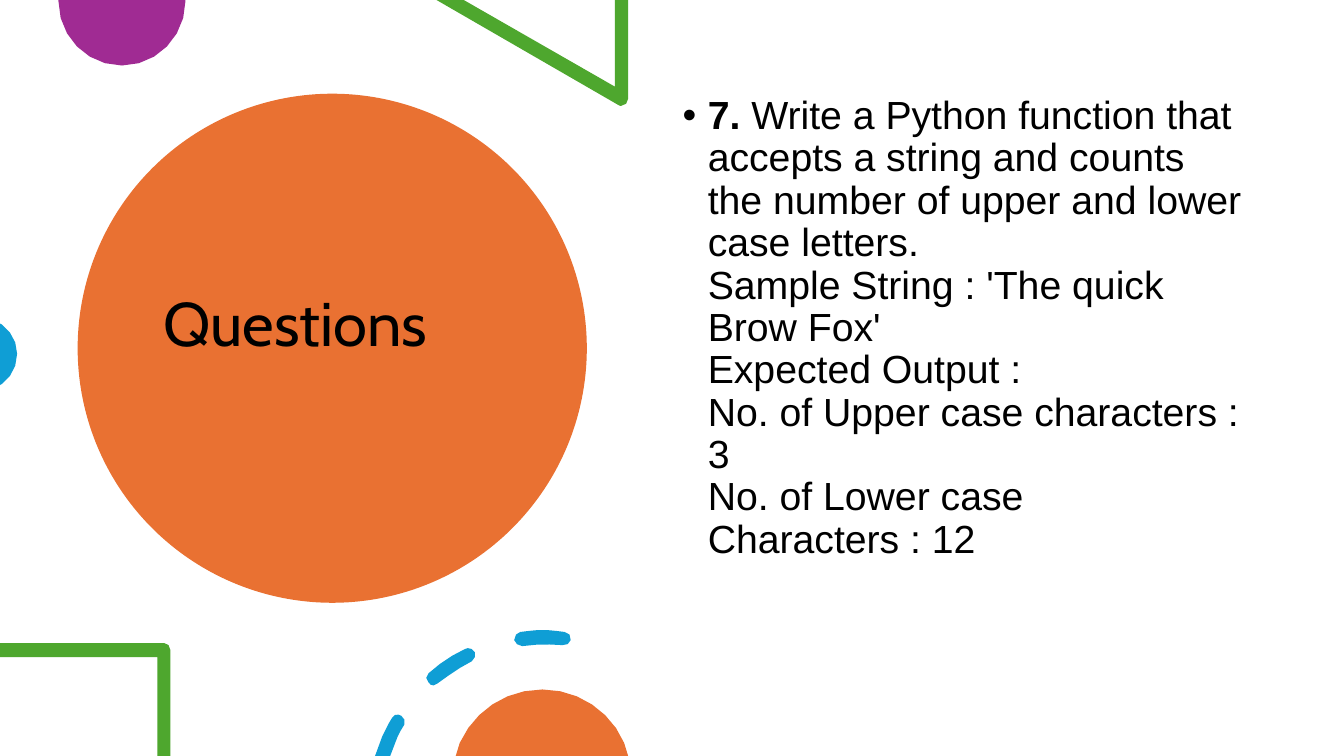
import math
from dataclasses import dataclass

from lxml import etree
from pptx import Presentation
from pptx import util as u
from pptx.dml.color import RGBColor
from pptx.enum import shapes, text
from pptx.oxml.ns import qn


@dataclass(frozen=True)
class Theme:
    orange: str = "E97132"
    purple: str = "A02B93"
    green: str = "4EA72E"
    blue: str = "0F9ED5"
    ink: str = "000000"
    title_font: str = "Cabin"
    body_font: str = "Arial"
    title_size: int = 44
    body_size: int = 28
    line_spacing: float = 0.9


# Each contour is a list of steps: (x, y) is a line to that point,
# (x1, y1, x2, y2, x, y) is a Bezier curve to its last pair.
PURPLE_DISC = [[(1.84, 0), (0.58, 0), (0.58, 0.01),
                (0.58, 0.36, 0.86, 0.65, 1.21, 0.65),
                (1.56, 0.65, 1.84, 0.36, 1.84, 0.01)]]
GREEN_TRIANGLE = [[(6.23, 0), (6.1, 0), (6.1, 0.86), (4.6, 0), (4.33, 0), (6.13, 1.04),
                   (6.14, 1.05, 6.15, 1.05, 6.16, 1.05),
                   (6.2, 1.05, 6.23, 1.02, 6.23, 0.98)]]
BLUE_DISC = [[(0, 3.21), (0, 3.82), (0.02, 3.81),
              (0.11, 3.74, 0.17, 3.64, 0.17, 3.51),
              (0.17, 3.39, 0.11, 3.29, 0.02, 3.22)]]
GREEN_SQUARE = [[(1.63, 6.38), (0, 6.38), (0, 6.52), (1.56, 6.52), (1.56, 7.5),
                 (1.69, 7.5), (1.69, 6.45),
                 (1.69, 6.41, 1.66, 6.38, 1.63, 6.38)]]
BLUE_DASHES = [
    [(3.95, 7.09), (3.93, 7.08, 3.9, 7.1, 3.89, 7.12),
     (3.85, 7.18, 3.82, 7.25, 3.79, 7.31), (3.72, 7.5), (3.87, 7.5), (3.92, 7.37),
     (3.94, 7.31, 3.97, 7.25, 4.01, 7.19), (4.02, 7.16, 4.01, 7.11, 3.98, 7.1),
     (3.95, 7.09)],
    [(4.64, 6.43), (4.61, 6.44),
     (4.48, 6.5, 4.36, 6.58, 4.25, 6.68), (4.22, 6.7, 4.22, 6.75, 4.25, 6.77),
     (4.26, 6.79, 4.28, 6.8, 4.3, 6.8), (4.34, 6.78),
     (4.45, 6.7, 4.56, 6.62, 4.68, 6.56), (4.71, 6.54, 4.72, 6.5, 4.71, 6.47),
     (4.69, 6.44, 4.67, 6.43, 4.64, 6.43)],
    [(5.38, 6.25), (5.31, 6.25, 5.24, 6.26, 5.16, 6.27),
     (5.13, 6.27, 5.1, 6.31, 5.1, 6.35), (5.11, 6.38, 5.14, 6.41, 5.18, 6.41),
     (5.32, 6.39, 5.45, 6.39, 5.58, 6.4), (5.62, 6.41, 5.65, 6.38, 5.66, 6.35),
     (5.67, 6.31, 5.64, 6.27, 5.6, 6.27), (5.53, 6.26, 5.45, 6.25, 5.38, 6.25)],
]
ORANGE_DISC = [[(5.38, 6.84), (5.01, 6.84, 4.7, 7.06, 4.56, 7.37), (4.52, 7.5),
                (6.23, 7.5), (6.19, 7.37),
                (6.06, 7.06, 5.74, 6.84, 5.38, 6.84)]]

# A no-break space follows "7." and stands before the first two colons.
QUESTION = [
    " Write a Python function that accepts a string and counts the number of "
    "upper and lower case letters.",
    "Sample String : 'The quick Brow Fox'",
    "Expected Output :",
    "No. of Upper case characters : 3",
    "No. of Lower case Characters : 12",
]


def trace(contour):
    """Return the contour's points in EMU, with its curves cut into a few lines."""
    points = []
    for step in contour:
        if len(step) == 2:
            points.append(step)
            continue
        x0, y0 = points[-1]
        x1, y1, x2, y2, x3, y3 = step
        chord = math.hypot(x3 - x0, y3 - y0)
        pieces = 6 if chord > 0.5 else 3 if chord > 0.2 else 2
        for index in range(1, pieces + 1):
            t = index / pieces
            a, b, c, d = (1 - t) ** 3, 3 * t * (1 - t) ** 2, 3 * t * t * (1 - t), t ** 3
            points.append((a * x0 + b * x1 + c * x2 + d * x3,
                           a * y0 + b * y1 + c * y2 + d * y3))
    if points[-1] == points[0]:
        points.pop()
    return [(u.Inches(x), u.Inches(y)) for x, y in points]


def add_span(para, words, *, font, size, color, bold=False):
    span = para.add_run()
    span.text = words
    span.font.name = font
    span.font.size = u.Pt(size)
    span.font.bold = bold
    span.font.color.rgb = RGBColor.from_string(color)


class SlideBuilder:
    def __init__(self, page, theme):
        self.page = page
        self.theme = theme

    def paint(self, shape, color):
        shape.shadow.inherit = False
        shape.fill.solid()
        shape.fill.fore_color.rgb = RGBColor.from_string(color)
        shape.line.fill.background()

    def circle(self, left, top, size, color):
        disc = self.page.shapes.add_shape(
            shapes.MSO_SHAPE.OVAL, u.Inches(left), u.Inches(top),
            u.Inches(size), u.Inches(size))
        self.paint(disc, color)

    def outline(self, contours, color):
        first, *others = [trace(contour) for contour in contours]
        builder = self.page.shapes.build_freeform(*first[0])
        builder.add_line_segments(first[1:], close=True)
        for points in others:
            builder.move_to(*points[0])
            builder.add_line_segments(points[1:], close=True)
        self.paint(builder.convert_to_shape(), color)

    def place(self, box, left, top, width, height, anchor):
        """Move a placeholder to the front and return its first paragraph."""
        self.page.shapes._spTree.append(box._element)
        box.left, box.top = u.Inches(left), u.Inches(top)
        box.width, box.height = u.Inches(width), u.Inches(height)
        frame = box.text_frame
        frame.word_wrap = True
        frame.auto_size = text.MSO_AUTO_SIZE.NONE
        frame.vertical_anchor = anchor
        para = frame.paragraphs[0]
        para.alignment = text.PP_ALIGN.LEFT
        para.line_spacing = self.theme.line_spacing
        return para

    def title(self, words, left, top, width, height, bottom_inset):
        box = self.page.shapes.title
        para = self.place(box, left, top, width, height, text.MSO_ANCHOR.MIDDLE)
        box.text_frame.margin_bottom = u.Inches(bottom_inset)
        add_span(para, words, font=self.theme.title_font,
                 size=self.theme.title_size, color=self.theme.ink)

    def question(self, number, lines, left, top, width, height):
        box = self.page.placeholders[1]
        para = self.place(box, left, top, width, height, text.MSO_ANCHOR.TOP)
        para.space_before = u.Pt(10)
        properties = para._p.get_or_add_pPr()
        properties.set("marL", str(u.Inches(0.25)))
        properties.set("indent", str(u.Inches(-0.25)))
        etree.SubElement(properties, qn("a:buFont")).set("typeface", "Arial")
        etree.SubElement(properties, qn("a:buChar")).set("char", "•")
        style = dict(font=self.theme.body_font, size=self.theme.body_size,
                     color=self.theme.ink)
        add_span(para, number, bold=True, **style)
        add_span(para, lines[0], **style)
        for line in lines[1:]:
            para.add_line_break()
            add_span(para, line, **style)


def main():
    deck = Presentation()
    deck.slide_width, deck.slide_height = u.Inches(13.33), u.Inches(7.5)
    theme = Theme()
    slide = SlideBuilder(deck.slides.add_slide(deck.slide_layouts[1]), theme)

    slide.circle(0.77, 0.93, 5.05, theme.orange)
    slide.title("Questions", 1.52, 1.35, 3.54, 4.45, bottom_inset=0.72)
    slide.outline(PURPLE_DISC, theme.purple)
    slide.outline(GREEN_TRIANGLE, theme.green)
    slide.outline(BLUE_DISC, theme.blue)
    slide.question("7.", QUESTION, 6.67, 0.9, 5.75, 5.35)
    slide.outline(GREEN_SQUARE, theme.green)
    slide.outline(BLUE_DASHES, theme.blue)
    slide.outline(ORANGE_DISC, theme.orange)
    deck.save("out.pptx")


if __name__ == "__main__":
    main()
